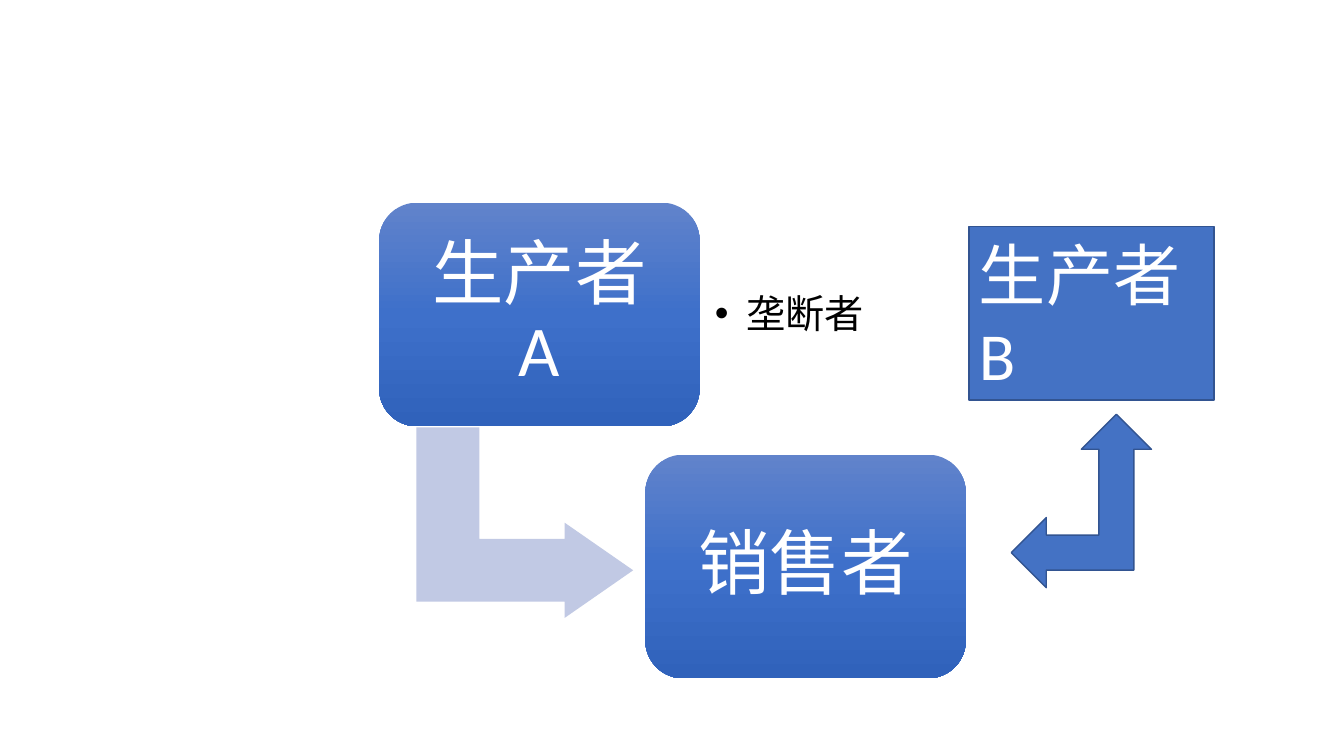
"""Build a slide on two producers, a seller and a monopolist."""
import pptx
import pptx.util
import pptx.oxml
import pptx.oxml.ns
import pptx.dml.color
import pptx.enum.shapes
import pptx.enum.text
from lxml import etree

Inches = pptx.util.Inches
Pt = pptx.util.Pt
Kind = pptx.enum.shapes.MSO_SHAPE
Align = pptx.enum.text.PP_ALIGN
Anchor = pptx.enum.text.MSO_ANCHOR
qn = pptx.oxml.ns.qn


class Deck:
    """Hold the style and the current slide."""

    font = "Calibri"
    hues = {"white": "FFFFFF", "black": "000000", "blue": "4472C4",
            "edge": "325491", "pale": "C1C9E4"}
    blend = {0: "6183CB", 50: "3E70CA", 100: "3062BB"}

    def __init__(self):
        self.file = pptx.Presentation()
        self.file.slide_width = Inches(13.33)
        self.file.slide_height = Inches(7.5)
        self.slide = self.file.slides.add_slide(self.file.slide_layouts[6])

    def hue(self, name):
        return pptx.dml.color.RGBColor.from_string(self.hues[name])

    def shape(self, kind, box, fill, edge=None, adj=(), turn=0):
        item = self.slide.shapes.add_shape(kind, *map(Inches, box))
        item.shadow.inherit = False
        item.rotation = turn
        item.fill.solid()
        item.fill.fore_color.rgb = self.hue(fill)
        if edge:
            item.line.color.rgb = self.hue(edge)
            item.line.width = Pt(1)
        else:
            item.line.fill.background()
        for i, part in enumerate(adj):
            item.adjustments[i] = part
        return item

    def label(self, item, text, size, hue="white", align=Align.LEFT, pad=None, gap=1.0):
        frame = item.text_frame
        frame.word_wrap = True
        frame.vertical_anchor = Anchor.MIDDLE
        if pad:
            frame.margin_left = frame.margin_right = Inches(pad)
            frame.margin_top = frame.margin_bottom = Inches(pad)
        para = frame.paragraphs[0]
        para.alignment = align
        para.line_spacing = gap
        run = para.add_run()
        run.text = text
        run.font.size = Pt(size)
        run.font.name = self.font
        run.font.color.rgb = self.hue(hue)
        etree.SubElement(run.font._element, qn("a:ea"), typeface=self.font)
        return para

    def card(self, left, top, text):
        item = self.shape(Kind.ROUNDED_RECTANGLE, (left, top, 3.18, 2.22), "blue", adj=[0.17])
        item.fill.gradient()
        grad = item._element.spPr.find(qn("a:gradFill"))
        stops = grad.find(qn("a:gsLst"))
        for stop in list(stops):
            stops.remove(stop)
        for place, tone in self.blend.items():
            stop = etree.SubElement(stops, qn("a:gs"), pos=str(place * 1000))
            etree.SubElement(stop, qn("a:srgbClr"), val=tone)
        grad.find(qn("a:lin")).set("ang", "5400000")
        self.label(item, text, 51, align=Align.CENTER, pad=0.22, gap=0.9)

    def bullet(self, box, text):
        item = self.slide.shapes.add_textbox(*map(Inches, box))
        para = self.label(item, text, 28, "black", pad=0.15, gap=0.9)
        props = para._p.get_or_add_pPr()
        props.set("marL", str(Inches(0.31)))
        props.set("indent", str(-Inches(0.31)))
        etree.SubElement(props, qn("a:buFont"), typeface="Arial")
        etree.SubElement(props, qn("a:buChar"), char="•")


deck = Deck()
deck.shape(Kind.BENT_UP_ARROW, (4.26, 4.11, 1.89, 2.15), "pale",
           adj=(0.33, 0.25, 0.36), turn=90)
deck.card(3.76, 2.01, "生产者A")
deck.bullet((6.94, 2.23, 2.31, 1.8), "垄断者")
deck.card(6.4, 4.51, "销售者")
maker = deck.shape(Kind.RECTANGLE, (9.61, 2.25, 2.43, 1.72), "blue", "edge")
deck.label(maker, "生产者B", 48)
deck.shape(Kind.LEFT_UP_ARROW, (10.03, 4.11, 1.39, 1.72), "blue", "edge")
deck.file.save("out.pptx")
